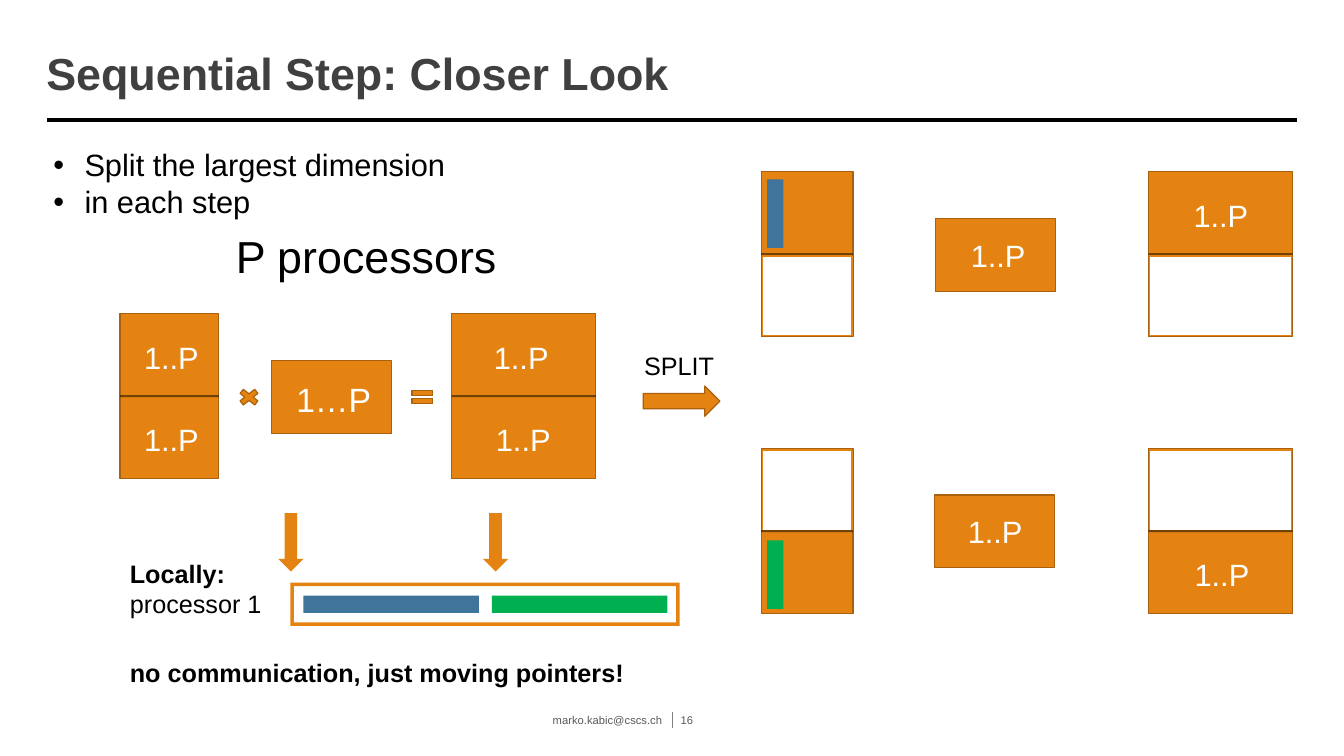
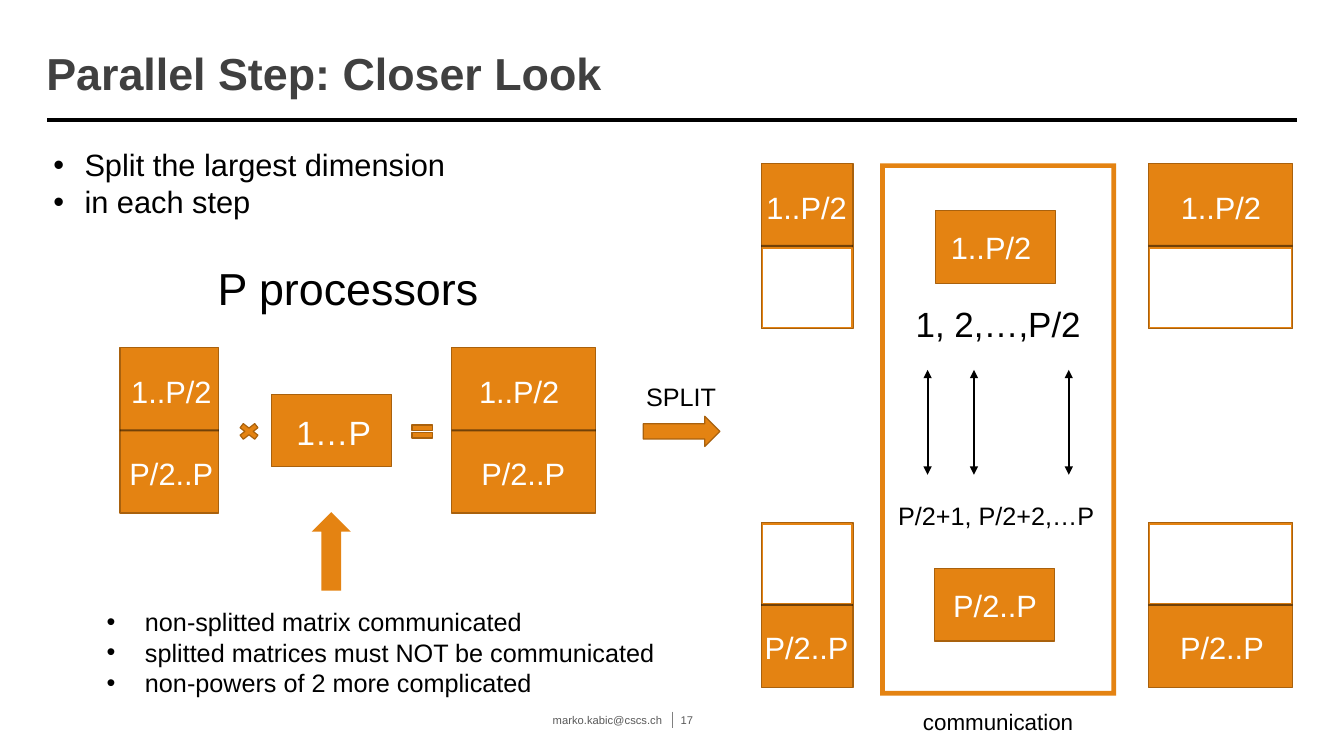
from lxml import etree
from pptx import Presentation
from pptx import util as u
from pptx.dml.color import RGBColor
from pptx.enum import shapes, text
from pptx.oxml import ns

PX = 9144
FONT = "Arial"
BLACK = RGBColor(0x00, 0x00, 0x00)
WHITE = RGBColor(0xFF, 0xFF, 0xFF)
ORANGE = RGBColor(0xE4, 0x83, 0x12)
BROWN = RGBColor(0xA9, 0x61, 0x0D)
BLUE = RGBColor(0x40, 0x74, 0x9B)
GREEN = RGBColor(0x00, 0xB0, 0x50)
TITLE_GRAY = RGBColor(0x40, 0x40, 0x40)
FOOTER_GRAY = RGBColor(0x59, 0x59, 0x59)
RULE_GRAY = RGBColor(0x80, 0x80, 0x80)

SHAPE = shapes.MSO_SHAPE
ALIGN = text.PP_ALIGN
ANCHOR = text.MSO_ANCHOR

EMAIL = "marko.kabic@cscs.ch"
INTRO = ["Split the largest dimension", "in each step"]
NOTES = [
    "non-splitted matrix communicated",
    "splitted matrices must NOT be communicated",
    "non-powers of 2 more complicated",
]
MATRIX_H, HALF_H, FACTOR_W, FACTOR_H = 164, 79, 119, 72
LABEL_W, LABEL_H = 110, 47

SEQUENTIAL = {
    "title": "Sequential Step: Closer Look",
    "number": "16",
    "processors": (224, 222),
    "split": (625, 343),
    "matrices": [
        (119, 311, 98, ("1..P", 2), ("1..P", 2)),
        (448, 311, 143, ("1..P", -2), ("1..P", 0)),
        (755, 170, 91, ("", 0), None),
        (1139, 170, 143, ("1..P", 1), None),
        (755, 445, 91, None, ("", 0)),
        (1139, 445, 143, None, ("1..P", 2)),
    ],
    "factors": [
        (269, 358, "1…P", 24, 3),
        (928, 217, "1..P", 22, 3),
        (927, 491, "1..P", 22, 1),
    ],
}
PARALLEL = {
    "title": "Parallel Step: Closer Look",
    "number": "17",
    "processors": (206, 254),
    "split": (627, 373),
    "matrices": [
        (119, 345, 98, ("1..P/2", 2), ("P/2..P", 2)),
        (448, 345, 143, ("1..P/2", -4), ("P/2..P", 0)),
        (755, 162, 91, ("1..P/2", 0), None),
        (1139, 162, 143, ("1..P/2", 1), None),
        (755, 518, 91, None, ("P/2..P", 0)),
        (1139, 518, 143, None, ("P/2..P", 2)),
    ],
    "factors": [
        (269, 391, "1…P", 24, 3),
        (928, 209, "1..P/2", 22, -4),
        (927, 564, "P/2..P", 22, 1),
    ],
}
STORED_BLOCKS = [
    (761, 178, 16, 68, BLUE),
    (761, 536, 16, 68, GREEN),
    (301, 591, 174, 17, BLUE),
    (488, 591, 174, 17, GREEN),
]
POINTER_XS = [276, 479]
EXCHANGE_XS = [920, 966, 1060]


def px(*values):
    return [u.Emu(v * PX) for v in values]


def write(tf, lines, size=18, color=BLACK, bold_lines=0, align=ALIGN.LEFT,
          anchor=ANCHOR.TOP, insets=(10, 5, 10, 5), bullet_indent=0):
    tf.word_wrap = True
    tf.auto_size = text.MSO_AUTO_SIZE.NONE
    tf.vertical_anchor = anchor
    tf.margin_left, tf.margin_top, tf.margin_right, tf.margin_bottom = px(*insets)
    for i, line in enumerate(lines):
        p = tf.add_paragraph() if i else tf.paragraphs[0]
        p.alignment = align
        if bullet_indent:
            pPr = p._p.get_or_add_pPr()
            pPr.set("marL", str(bullet_indent * PX))
            pPr.set("indent", str(-bullet_indent * PX))
            etree.SubElement(pPr, ns.qn("a:buFont")).set("typeface", FONT)
            etree.SubElement(pPr, ns.qn("a:buChar")).set("char", "•")
        r = p.add_run()
        r.text = line
        r.font.name = FONT
        r.font.size = u.Pt(size)
        r.font.bold = i < bold_lines
        r.font.color.rgb = color


def add_text(s, box, *lines, **fmt):
    write(s.shapes.add_textbox(*px(*box)).text_frame, lines, **fmt)


def add_shape(s, kind, box, fill=ORANGE, line=None):
    sp = s.shapes.add_shape(kind, *px(*box))
    sp.shadow.inherit = False
    sp.fill.solid()
    sp.fill.fore_color.rgb = fill
    if line is None:
        sp.line.fill.background()
    else:
        sp.line.color.rgb = line
        sp.line.width = u.Pt(0.85)
    return sp


def add_line(s, ends, color=BLACK, width=1.5, opacity=100, arrows=False):
    c = s.shapes.add_connector(shapes.MSO_CONNECTOR.STRAIGHT, *px(*ends))
    c.line.color.rgb = color
    c.line.width = u.Pt(width)
    ln = c.line._ln
    if opacity < 100:
        rgb = ln.find(".//" + ns.qn("a:srgbClr"))
        etree.SubElement(rgb, ns.qn("a:alpha")).set("val", str(opacity * 1000))
    if arrows:
        for end in ("a:headEnd", "a:tailEnd"):
            etree.SubElement(ln, ns.qn(end)).set("type", "triangle")
    etree.SubElement(c._element.spPr, ns.qn("a:effectLst"))
    return c


def add_label(s, center, y, label, size=22):
    add_text(s, (center - LABEL_W // 2, y, LABEL_W, LABEL_H), label,
             size=size, color=WHITE, align=ALIGN.CENTER)


def add_matrix(s, x, y, w, *halves):
    matrix = add_shape(s, SHAPE.RECTANGLE, (x, y, w, MATRIX_H), line=BROWN)
    for half, white_dy, label_dy in zip(halves, (2, 84), (20, 101)):
        if half is None:
            add_shape(s, SHAPE.RECTANGLE, (x + 1, y + white_dy, w - 2, HALF_H),
                      WHITE, ORANGE)
        elif half[0]:
            add_label(s, x + w // 2 + half[1], y + label_dy, half[0])
    middle = y + MATRIX_H // 2
    divider = add_line(s, (x, middle, x + w, middle), width=1.35, opacity=50)
    divider.begin_connect(matrix, 1)
    divider.end_connect(matrix, 3)


def add_factor(s, x, y, label, size, nudge):
    add_shape(s, SHAPE.RECTANGLE, (x, y, FACTOR_W, FACTOR_H), line=BROWN)
    add_label(s, x + FACTOR_W // 2 + nudge, y + 13, label, size)


def add_step(prs, step):
    s = prs.slides.add_slide(prs.slide_layouts[5])
    title = s.shapes.title
    title.left, title.top, title.width, title.height = px(46, 13, 1239, 94)
    write(title.text_frame, [step["title"]], size=32, color=TITLE_GRAY,
          bold_lines=1, anchor=ANCHOR.BOTTOM, insets=(0, 5, 0, 8))
    add_line(s, (47, 119, 1286, 119), width=3)
    add_line(s, (667, 706, 667, 722), RULE_GRAY, 0.75)
    footer = dict(size=8, color=FOOTER_GRAY, anchor=ANCHOR.MIDDLE)
    add_text(s, (215, 706, 450, 16), EMAIL, align=ALIGN.RIGHT,
             insets=(0, 0, 8, 0), **footer)
    add_text(s, (667, 706, 42, 16), step["number"], insets=(8, 0, 0, 0), **footer)
    add_text(s, (43, 140, 428, 84), *INTRO, size=22, bullet_indent=31)
    add_text(s, (*step["processors"], 330, 64), "P processors", size=32)

    for matrix in step["matrices"]:
        add_matrix(s, *matrix)
    for factor in step["factors"]:
        add_factor(s, *factor)
    sign_y = step["matrices"][0][1] + 72
    for kind, x in ((SHAPE.MATH_MULTIPLY, 233), (SHAPE.MATH_EQUAL, 405)):
        add_shape(s, kind, (x, sign_y, 28, 22), line=BROWN)
    split_x, split_y = step["split"]
    add_text(s, (split_x, split_y, 97, 40), "SPLIT", align=ALIGN.CENTER)
    add_shape(s, SHAPE.RIGHT_ARROW, (638, split_y + 40, 76, 30), line=BROWN)
    return s


def add_local_storage(s):
    for *box, color in STORED_BLOCKS:
        add_shape(s, SHAPE.RECTANGLE, box, color)
    add_shape(s, SHAPE.FRAME, (288, 578, 386, 43)).adjustments[0] = 0.08
    for x in POINTER_XS:
        add_shape(s, SHAPE.DOWN_ARROW, (x, 509, 25, 58))
    add_text(s, (119, 549, 173, 71), "Locally:", "processor 1", bold_lines=1)
    add_text(s, (119, 647, 587, 40), "no communication, just moving pointers!",
             bold_lines=1)


def add_communication(s):
    add_shape(s, SHAPE.FRAME, (873, 162, 234, 528)).adjustments[0] = 0.02
    add_text(s, (856, 295, 268, 52), "1, 2,…,P/2", size=25, align=ALIGN.CENTER)
    add_text(s, (854, 491, 268, 40), "P/2+1, P/2+2,…P", align=ALIGN.CENTER)
    for x in EXCHANGE_XS:
        add_line(s, (x, 367, x, 471), arrows=True)
    add_text(s, (898, 698, 184, 37), "communication", size=16, align=ALIGN.CENTER)
    add_shape(s, SHAPE.UP_ARROW, (309, 508, 39, 78))
    add_text(s, (96, 597, 574, 101), *NOTES, bullet_indent=38)


def main():
    prs = Presentation()
    prs.slide_width, prs.slide_height = px(1333, 750)
    add_local_storage(add_step(prs, SEQUENTIAL))
    add_communication(add_step(prs, PARALLEL))
    prs.save("out.pptx")


if __name__ == "__main__":
    main()
